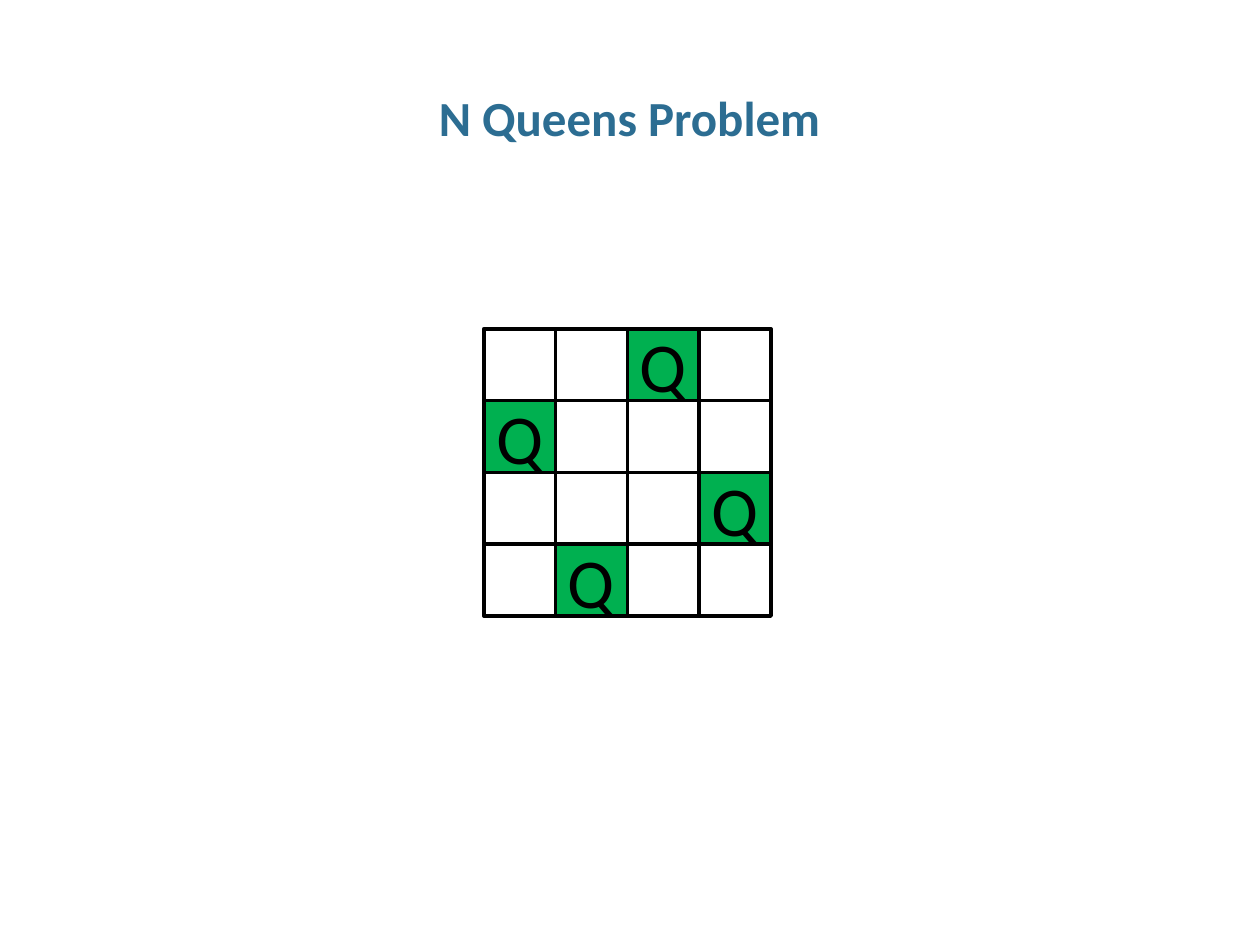
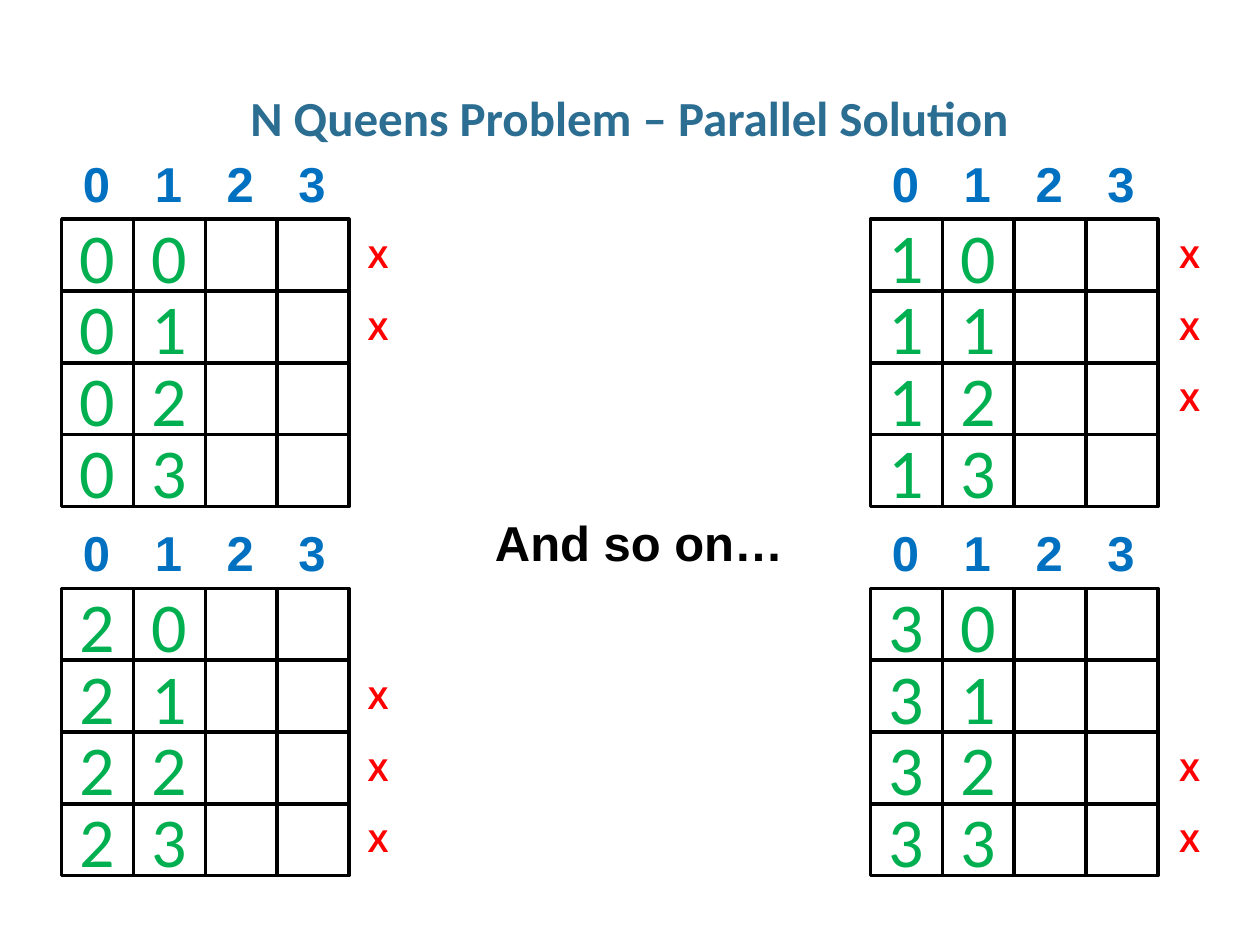
import pptx
import pptx.dml.color
import pptx.enum.shapes
import pptx.enum.text
import pptx.util
from dataclasses import dataclass

Inches = pptx.util.Inches
ALIGN = pptx.enum.text.PP_ALIGN
ANCHOR = pptx.enum.text.MSO_ANCHOR

TITLES = ("N Queens Problem", "N Queens Problem – Parallel Solution")
QUEEN = "Q"
QUEEN_COLUMNS = (2, 0, 3, 1)
SOLUTION_CORNER = (3.84, 2.61)
SEARCH_CORNERS = {0: (0.49, 1.74), 2: (0.49, 4.67), 1: (6.91, 1.74), 3: (6.91, 4.67)}
REJECT_LEFT = {0: 2.82, 2: 2.82, 1: 9.26, 3: 9.26}
REJECT = "X"
CLOSING = "And so on…"
SIZE = 4
CELL = 0.57


@dataclass(frozen=True)
class Theme:
    title: str = "2C6D92"
    green: str = "00B050"
    header: str = "0070C0"
    reject: str = "FF0000"
    black: str = "000000"
    white: str = "FFFFFF"
    heading_font: str = "Calibri"
    label_font: str = "Arial"
    cell_size: int = 40
    heading_size: int = 28
    reject_size: int = 18
    line_width: int = 2


THEME = Theme()


def rgb(value):
    return pptx.dml.color.RGBColor.from_string(value)


def apply(target, formats):
    for name, value in formats.items():
        setattr(target, name, value)


def write(box, text, font, size, color, bold=False, align=ALIGN.LEFT):
    para = box.text_frame.paragraphs[0]
    para.alignment = align
    span = para.add_run()
    span.text = text
    apply(span.font, {"name": font, "size": pptx.util.Pt(size), "bold": bold})
    span.font.color.rgb = rgb(color)
    return para


def add_box(page, left, top, width, height):
    return page.shapes.add_textbox(*map(Inches, (left, top, width, height)))


def add_title(page, text):
    box = add_box(page, 0.34, 0.68, 9.31, 0.5)
    apply(box.text_frame, {"word_wrap": True, "margin_left": 0, "margin_right": 0})
    para = write(box, text, THEME.heading_font, THEME.heading_size, THEME.title, True, ALIGN.CENTER)
    para.line_spacing = 0.95


def add_label(page, text, place, size, color):
    box = add_box(page, *place)
    apply(box.text_frame, {
        "word_wrap": False,
        "auto_size": pptx.enum.text.MSO_AUTO_SIZE.SHAPE_TO_FIT_TEXT,
    })
    write(box, text, THEME.label_font, size, color, True)


def add_cell(page, corner, row, column, text, fill, color):
    left, top = corner
    cell = page.shapes.add_shape(
        pptx.enum.shapes.MSO_SHAPE.RECTANGLE,
        *map(Inches, (left + column * CELL, top + row * CELL, CELL, CELL)))
    cell.shadow.inherit = False
    if fill:
        cell.fill.solid()
        cell.fill.fore_color.rgb = rgb(fill)
    else:
        cell.fill.background()
    cell.line.color.rgb = rgb(THEME.black)
    cell.line.width = pptx.util.Pt(THEME.line_width)
    if text:
        cell.text_frame.vertical_anchor = ANCHOR.MIDDLE
        write(cell, text, THEME.heading_font, THEME.cell_size, color, align=ALIGN.CENTER)


def add_board(page, corner, contents, color):
    for row in range(SIZE):
        for column in range(SIZE):
            text, fill = contents.get((row, column), ("", None))
            add_cell(page, corner, row, column, text, fill, color)


def add_search_board(page, first, corner):
    left, top = corner
    contents = {}
    for second in range(SIZE):
        contents[second, 0] = (str(first), None)
        contents[second, 1] = (str(second), THEME.white)
    add_board(page, corner, contents, THEME.green)
    for column in range(SIZE):
        place = (left + 0.07 + column * CELL, top - CELL, 0.42, 0.57)
        add_label(page, str(column), place, THEME.heading_size, THEME.header)
    for second in range(SIZE):
        if abs(first - second) <= 1:
            place = (REJECT_LEFT[first], top + 0.09 + second * CELL, 0.37, 0.4)
            add_label(page, REJECT, place, THEME.reject_size, THEME.reject)


def main():
    deck = pptx.Presentation()
    apply(deck, {"slide_width": Inches(10), "slide_height": Inches(7.5)})
    pages = [deck.slides.add_slide(deck.slide_layouts[6]) for title in TITLES]
    for page, title in zip(pages, TITLES):
        add_title(page, title)
    solution, search = pages

    queens = {place: (QUEEN, THEME.green) for place in enumerate(QUEEN_COLUMNS)}
    add_board(solution, SOLUTION_CORNER, queens, THEME.black)

    for first, corner in SEARCH_CORNERS.items():
        add_search_board(search, first, corner)
    add_label(search, CLOSING, (3.83, 4.02, 2.52, 0.57), THEME.heading_size, THEME.black)
    deck.save("out.pptx")


if __name__ == "__main__":
    main()
